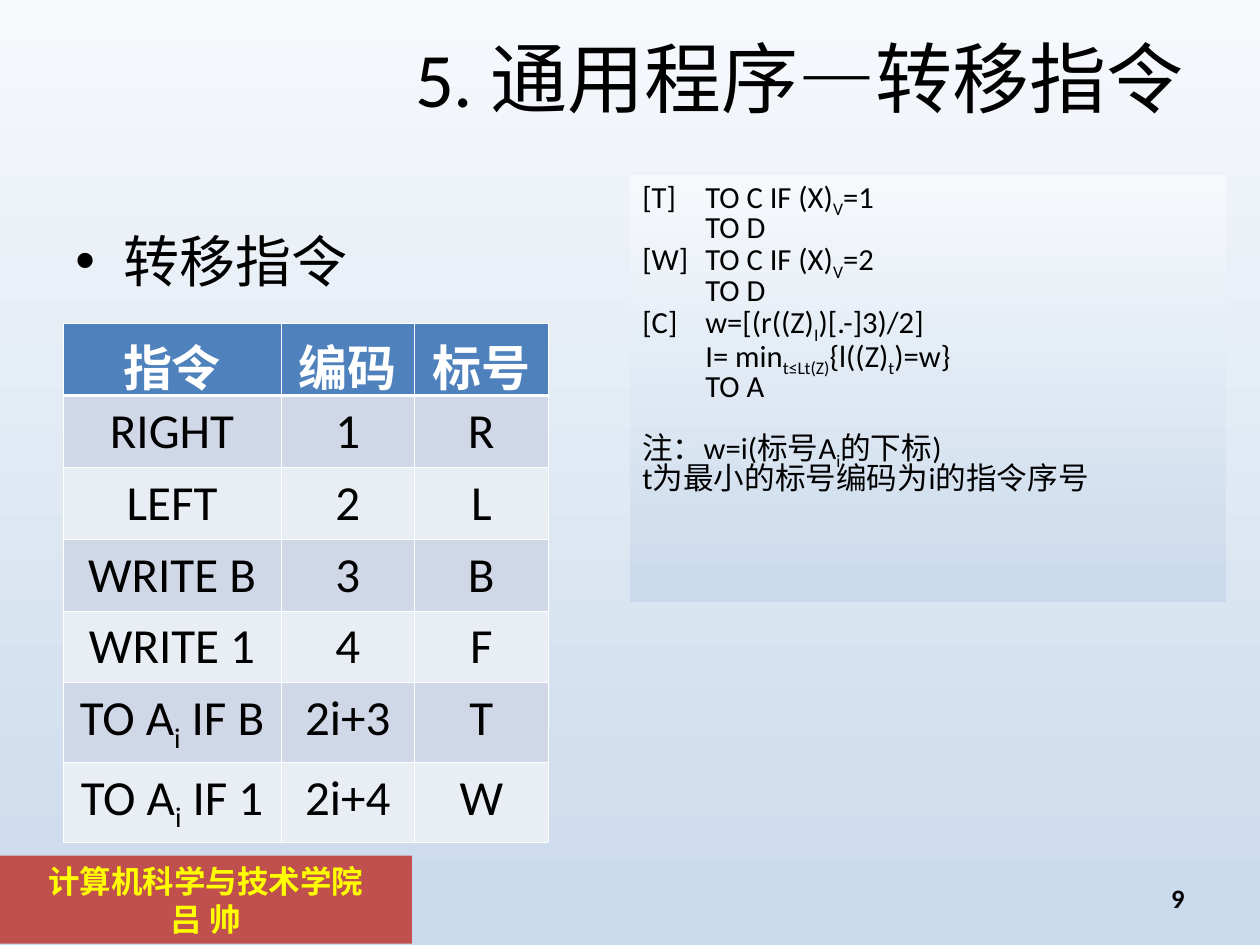
from lxml import etree
from pptx import Presentation
from pptx import util as u
from pptx.dml import color
from pptx.enum import shapes, text
from pptx.oxml import ns

LEFT, MID, RIGHT = (text.PP_ALIGN.LEFT, text.PP_ALIGN.CENTER,
                    text.PP_ALIGN.RIGHT)
TOP, CENTER = text.MSO_ANCHOR.TOP, text.MSO_ANCHOR.MIDDLE
SHADE = ("F6F9FC", "CAD9EB")


def rgb(code):
    return color.RGBColor.from_string(code)


def blend(fill, codes):
    """Fill with a gradient that runs from top to bottom."""
    fill.gradient()
    fill.gradient_angle = 270
    for stop, code, pos in zip(fill.gradient_stops, codes, (0, 1)):
        stop.color.rgb = rgb(code)
        stop.position = pos


def child(node, tag, **attrs):
    return etree.SubElement(node, ns.qn(tag), attrs)


class Deck:
    font = "Calibri"
    ink = "000000"

    def __init__(self, width, height):
        self.prs = Presentation()
        self.prs.slide_width = u.Inches(width)
        self.prs.slide_height = u.Inches(height)
        self.slide = self.prs.slides.add_slide(self.prs.slide_layouts[6])
        blend(self.slide.background.fill, SHADE)

    def words(self, frame, lines, size, ink=None, bold=False, font=None,
              anchor=TOP, **para):
        """Set the lines; every second part between bars is a subscript."""
        frame.word_wrap = True
        frame.vertical_anchor = anchor
        for n, line in enumerate(lines):
            p = frame.paragraphs[0] if n == 0 else frame.add_paragraph()
            for key, val in para.items():
                setattr(p, key, val)
            for k, part in enumerate(line.split("|")):
                run = p.add_run()
                run.text = part
                look = {"name": font or self.font, "size": u.Pt(size),
                        "bold": bold}
                for key, val in look.items():
                    setattr(run.font, key, val)
                run.font.color.rgb = rgb(ink or self.ink)
                if k % 2:
                    run.font._element.set("baseline", "-25000")
        return frame

    def label(self, at, lines, size, **look):
        box = self.slide.shapes.add_textbox(*map(u.Inches, at))
        return self.words(box.text_frame, lines, size, **look)

    def panel(self, at, fill, lines, size, **look):
        """Add a borderless rectangle, plain or shaded, with text."""
        box = self.slide.shapes.add_shape(
            shapes.MSO_SHAPE.RECTANGLE, *map(u.Inches, at))
        box.shadow.inherit = False
        box.line.fill.background()
        if isinstance(fill, str):
            box.fill.solid()
            box.fill.fore_color.rgb = rgb(fill)
        else:
            blend(box.fill, fill)
        return self.words(box.text_frame, lines, size, **look)

    def bullet(self, para, indent):
        props = para._p.get_or_add_pPr()
        gap = u.Inches(indent)
        props.set("marL", str(gap))
        props.set("indent", str(-gap))
        child(props, "a:buFont", typeface="Arial")
        child(props, "a:buChar", char="•")

    def edges(self, cell, top, bottom):
        props = cell._tc.get_or_add_tcPr()
        widths = {"L": 0.45, "R": 0.45, "T": top, "B": bottom}
        for n, (side, width) in enumerate(widths.items()):
            line = etree.Element(ns.qn("a:ln" + side), w=str(u.Pt(width)))
            child(child(line, "a:solidFill"), "a:srgbClr", val="FFFFFF")
            props.insert(n, line)

    def table(self, at, cols, heights, rows):
        grid = self.slide.shapes.add_table(
            len(rows), len(cols), *map(u.Inches, at)).table
        for col, width in zip(grid.columns, cols):
            col.width = u.Inches(width)
        for r, row in enumerate(rows):
            grid.rows[r].height = u.Inches(heights[r])
            head = r == 0
            back = "4F81BD" if head else ("E9EDF4", "D0D8E8")[r % 2]
            for c, entry in enumerate(row):
                cell = grid.cell(r, c)
                cell.fill.solid()
                cell.fill.fore_color.rgb = rgb(back)
                self.edges(cell, 1.47 if r == 1 else 0.45,
                           1.47 if head else 0.45)
                self.words(cell.text_frame, [entry], 28, bold=head,
                           ink="FFFFFF" if head else None, alignment=MID)
                cell.vertical_anchor = CENTER if r and c == 0 else TOP


CODES = [
    ("指令", "编码", "标号"),
    ("RIGHT", "1", "R"),
    ("LEFT", "2", "L"),
    ("WRITE B", "3", "B"),
    ("WRITE 1", "4", "F"),
    ("TO A|i| IF B", "2i+3", "T"),
    ("TO A|i| IF 1", "2i+4", "W"),
]
STEPS = [
    "[T]\tTO C IF (X)|V|=1",
    "\tTO D",
    "[W]\tTO C IF (X)|V|=2",
    "\tTO D",
    "[C]\tw=[(r((Z)|I|)[.-]3)/2]",
    "\tI= min|t≤Lt(Z)|{l((Z)|t|)=w}",
    "\tTO A",
]
NOTES = ["注：w=i(标号A|i|的下标)", "t为最小的标号编码为i的指令序号"]


def main():
    deck = Deck(10, 7.5)
    deck.panel((0, 6.79, 3.27, 0.7), "C0504D",
               ["计算机科学与技术学院", "吕 帅"], 18, ink="FFFF00",
               bold=True, font="Arial", alignment=MID)
    deck.label((0.5, 0.3, 9, 0.61), ["5. 通用程序—转移指令"], 44,
               anchor=CENTER, alignment=RIGHT)
    topic = deck.label((0.5, 1.75, 4.5, 4.95), ["转移指令"], 32,
                       space_before=u.Pt(8))
    deck.bullet(topic.paragraphs[0], 0.38)
    deck.label((7.17, 6.95, 2.33, 0.4), ["9"], 15.2, bold=True,
               anchor=CENTER, alignment=RIGHT, line_spacing=0.8,
               space_before=u.Pt(8))
    code = deck.panel((5, 1.39, 4.73, 3.39), SHADE, STEPS + NOTES, 17.5,
                      alignment=LEFT, line_spacing=0.8)
    code.paragraphs[len(STEPS)].space_before = u.Pt(17)
    deck.table((0.5, 2.57, 3.86, 3.97), (1.73, 1.06, 1.06),
               [0.57] * 5 + [0.63] * 2, CODES)
    deck.prs.save("out.pptx")


if __name__ == "__main__":
    main()
